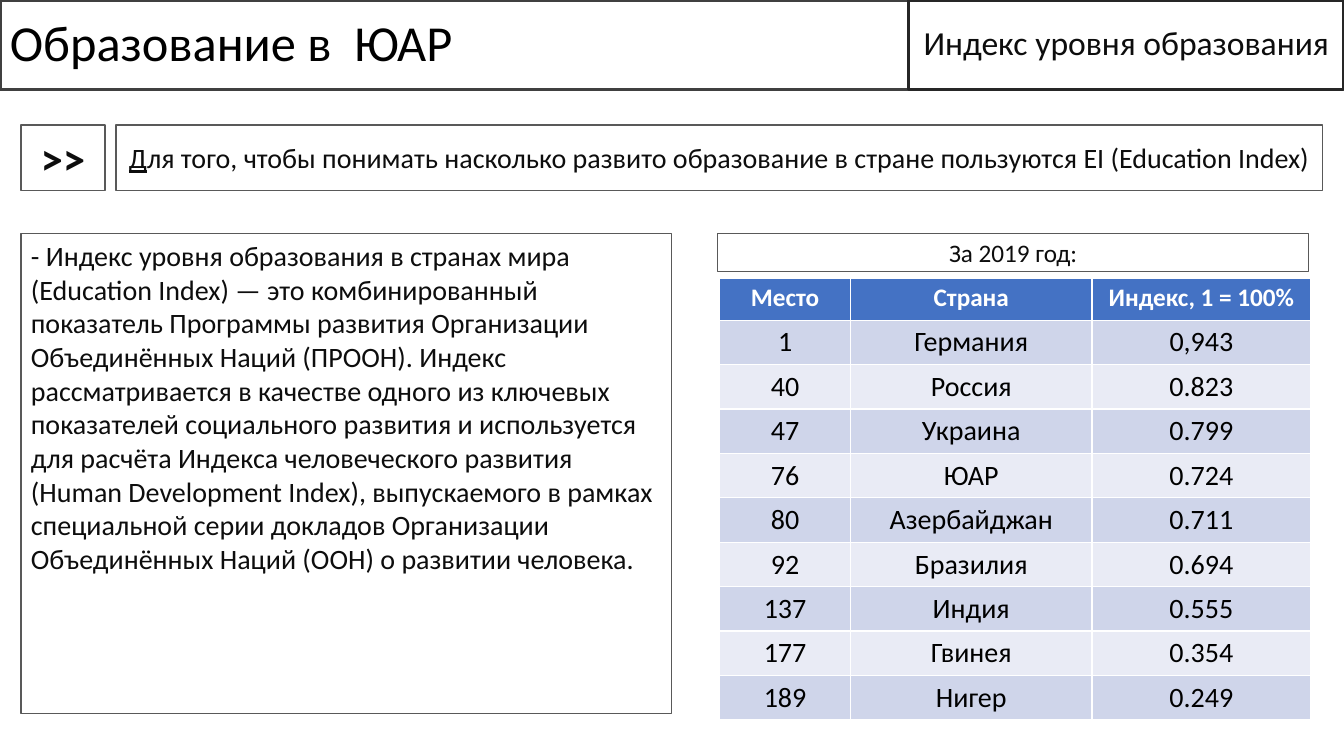
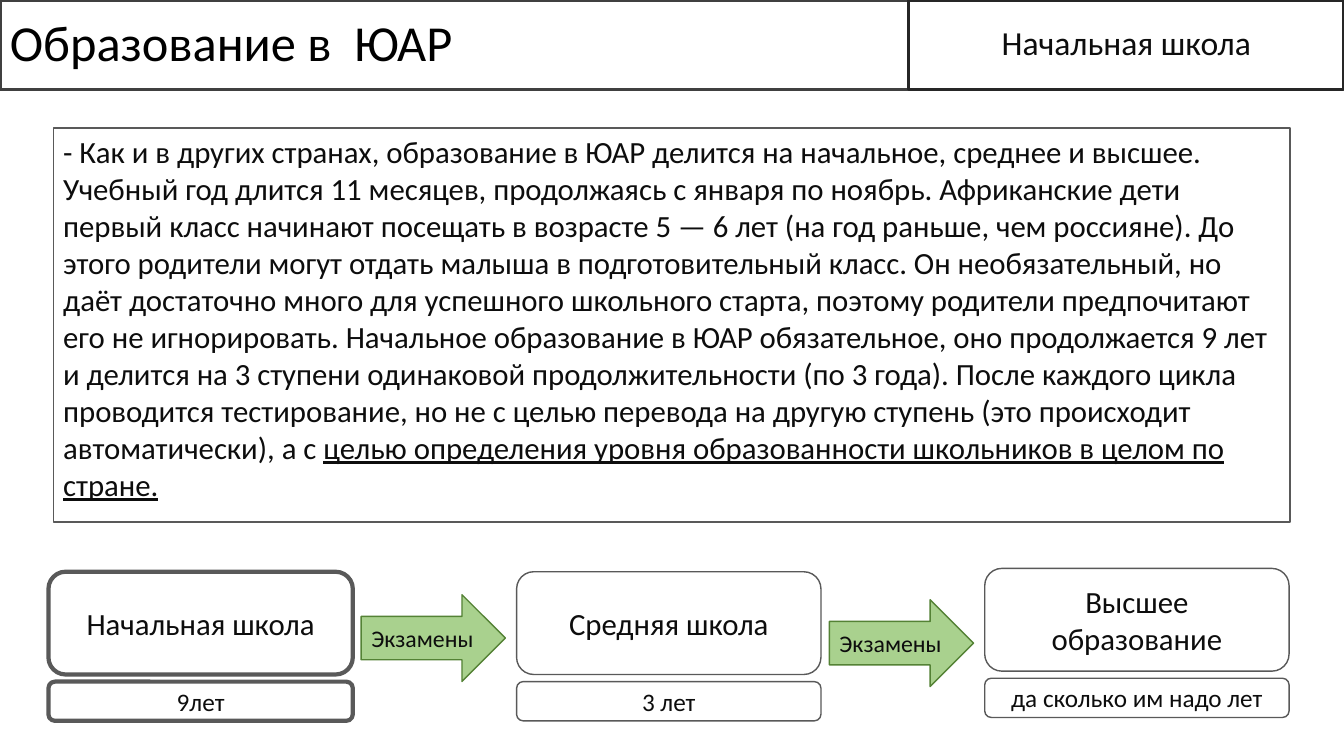
import pptx
import pptx.util
import pptx.dml.color
import pptx.enum.shapes
import pptx.enum.text

Pt = pptx.util.Pt
RGB = pptx.dml.color.RGBColor
SHAPE = pptx.enum.shapes.MSO_SHAPE
ANCHOR = pptx.enum.text.MSO_ANCHOR
ALIGN = pptx.enum.text.PP_ALIGN

FONT = "Calibri"
WHITE = RGB(0xFF, 0xFF, 0xFF)
BLACK = RGB(0x00, 0x00, 0x00)
INK = RGB(0x0D, 0x0D, 0x0D)
TITLE_LINE = RGB(0x40, 0x40, 0x40)
TOPIC_LINE = RGB(0x26, 0x26, 0x26)
BOX_LINE = RGB(0x59, 0x59, 0x59)
ARROW_FILL = RGB(0xA9, 0xD1, 0x8E)
ARROW_LINE = RGB(0x54, 0x82, 0x35)
HEADER_FILL = RGB(0x44, 0x72, 0xC4)
BAND_FILLS = (RGB(0xCF, 0xD5, 0xEA), RGB(0xE9, 0xEB, 0xF5))

SLIDE_W, SLIDE_H = 960, 540
TITLE_W, BAND_H = 649, 64

TITLE = "Образование в  ЮАР"
INDEX_TOPIC = "Индекс уровня образования"
SCHOOL_TOPIC = "Начальная школа"

# A text is a list of (words, underlined) runs or a plain string.
INDEX_LEAD = [
    ("Д", True),
    ("ля того, чтобы понимать насколько развито образование в стране "
     "пользуются EI (Education Index)", False),
]
INDEX_TEXT = (
    "- Индекс уровня образования в странах мира (Education Index) — это "
    "комбинированный показатель Программы развития Организации Объединённых "
    "Наций (ПРООН). Индекс рассматривается в качестве одного из ключевых "
    "показателей социального развития и используется для расчёта Индекса "
    "человеческого развития (Human Development Index), выпускаемого в рамках "
    "специальной серии докладов Организации Объединённых Наций (ООН) о "
    "развитии человека."
)
TABLE_CAPTION = "За 2019 год:"
COLUMN_WIDTHS = (93.6, 172.4, 156.4)
RANKING = [
    ("Место", "Страна", "Индекс, 1 = 100%"),
    ("1", "Германия", "0,943"),
    ("40", "Россия", "0.823"),
    ("47", "Украина", "0.799"),
    ("76", "ЮАР", "0.724"),
    ("80", "Азербайджан", "0.711"),
    ("92", "Бразилия", "0.694"),
    ("137", "Индия", "0.555"),
    ("177", "Гвинея", "0.354"),
    ("189", "Нигер", "0.249"),
]

SCHOOL_TEXT = [
    ("- Как и в других странах, образование в ЮАР делится на начальное, "
     "среднее и высшее. Учебный год длится 11 месяцев, продолжаясь с января "
     "по ноябрь. Африканские дети первый класс начинают посещать в возрасте "
     "5 — 6 лет (на год раньше, чем россияне). До этого родители могут отдать "
     "малыша в подготовительный класс. Он необязательный, но даёт достаточно "
     "много для успешного школьного старта, поэтому родители предпочитают его "
     "не игнорировать. Начальное образование в ЮАР обязательное, оно "
     "продолжается 9 лет и делится на 3 ступени одинаковой продолжительности "
     "(по 3 года). После каждого цикла проводится тестирование, но не с целью "
     "перевода на другую ступень (это происходит автоматически), а с ", False),
    ("целью определения уровня образованности школьников в целом по стране.",
     True),
]
# Stage, duration, top, line width
STAGES = [
    ("Начальная школа", "9лет", 408.4, 3),
    ("Средняя школа", "3 лет", 408.4, 1),
    ("Высшее образование", "да сколько им надо лет", 406, 1),
]
EXAM = "Экзамены"
EXAM_TOPS = (424.8, 428.4)


def write(tf, text, size=20, color=INK, bold=False, align=ALIGN.CENTER,
          spacing=None):
    p = tf.paragraphs[0]
    p.alignment = align
    if spacing:
        p.line_spacing = spacing
    runs = [(text, False)] if isinstance(text, str) else text
    for words, underlined in runs:
        r = p.add_run()
        r.text = words
        r.font.name = FONT
        r.font.size = Pt(size)
        r.font.bold = bold
        r.font.underline = underlined
        r.font.color.rgb = color


def add_box(s, text, x, y, w, h, kind=SHAPE.RECTANGLE, fill=WHITE,
            line=BOX_LINE, line_w=1, anchor=ANCHOR.MIDDLE, wrap=True, **fmt):
    sp = s.shapes.add_shape(kind, Pt(x), Pt(y), Pt(w), Pt(h))
    sp.shadow.inherit = False
    sp.fill.solid()
    sp.fill.fore_color.rgb = fill
    sp.line.color.rgb = line
    sp.line.width = Pt(line_w)
    tf = sp.text_frame
    tf.word_wrap = wrap
    tf.vertical_anchor = anchor
    write(tf, text, **fmt)


def add_slide(prs, topic):
    """Add a blank slide with the title band and the topic on its right."""
    s = prs.slides.add_slide(prs.slide_layouts[6])
    add_box(s, TITLE, 0, 0, TITLE_W, BAND_H, line=TITLE_LINE, line_w=2.25,
            size=36, color=BLACK, align=ALIGN.LEFT, spacing=0.9)
    add_box(s, topic, TITLE_W, 0, SLIDE_W - TITLE_W, BAND_H, line=TOPIC_LINE,
            line_w=2.25, size=24, spacing=0.9)
    return s


def add_ranking(s, x, y, row_h=30.24):
    table = s.shapes.add_table(
        len(RANKING), len(COLUMN_WIDTHS), Pt(x), Pt(y),
        Pt(sum(COLUMN_WIDTHS)), Pt(row_h * len(RANKING))).table
    for column, width in zip(table.columns, COLUMN_WIDTHS):
        column.width = Pt(width)
    for i, row in enumerate(RANKING):
        header = i == 0
        table.rows[i].height = Pt(row_h)
        for j, text in enumerate(row):
            cell = table.cell(i, j)
            cell.fill.solid()
            cell.fill.fore_color.rgb = (
                HEADER_FILL if header else BAND_FILLS[(i - 1) % 2])
            write(cell.text_frame, text, size=18 if header else 20,
                  color=WHITE if header else BLACK, bold=header)


def build_index_slide(prs):
    s = add_slide(prs, INDEX_TOPIC)
    left, lead_y, lead_h, body_y = 15, 89.3, 46.8, 167
    add_box(s, INDEX_LEAD, 82.8, lead_y, 862, lead_h)
    add_box(s, ">>", left, lead_y, 60, lead_h, size=32, bold=True)
    add_box(s, INDEX_TEXT, left, body_y, 464.8, 342.7, anchor=ANCHOR.TOP,
            align=ALIGN.LEFT)
    add_ranking(s, 514, 198.5)
    add_box(s, TABLE_CAPTION, 512.5, body_y, sum(COLUMN_WIDTHS), 27, size=18)


def build_school_slide(prs):
    s = add_slide(prs, SCHOOL_TOPIC)
    add_box(s, SCHOOL_TEXT, 38, 91.5, 883.6, 281.5, anchor=ANCHOR.TOP,
            size=22, align=ALIGN.LEFT)

    left, pitch, stage_w, stage_h = 34.6, 334.4, 217.4, 73.4
    years_dy, years_h = 78.5, 28
    for i, (stage, years, y, line_w) in enumerate(STAGES):
        x = left + i * pitch
        for text, top, h, size in ((stage, y, stage_h, 22),
                                   (years, y + years_dy, years_h, 18)):
            add_box(s, text, x, top, stage_w, h, kind=SHAPE.ROUNDED_RECTANGLE,
                    line_w=line_w, size=size)

    arrow_w, arrow_h, gap = 103, 62, 6
    for i, y in enumerate(EXAM_TOPS):
        add_box(s, EXAM, left + i * pitch + stage_w + gap, y, arrow_w, arrow_h,
                kind=SHAPE.RIGHT_ARROW, fill=ARROW_FILL, line=ARROW_LINE,
                wrap=False, size=17)


def main():
    prs = pptx.Presentation()
    prs.slide_width, prs.slide_height = Pt(SLIDE_W), Pt(SLIDE_H)
    build_index_slide(prs)
    build_school_slide(prs)
    prs.save("out.pptx")


if __name__ == "__main__":
    main()
